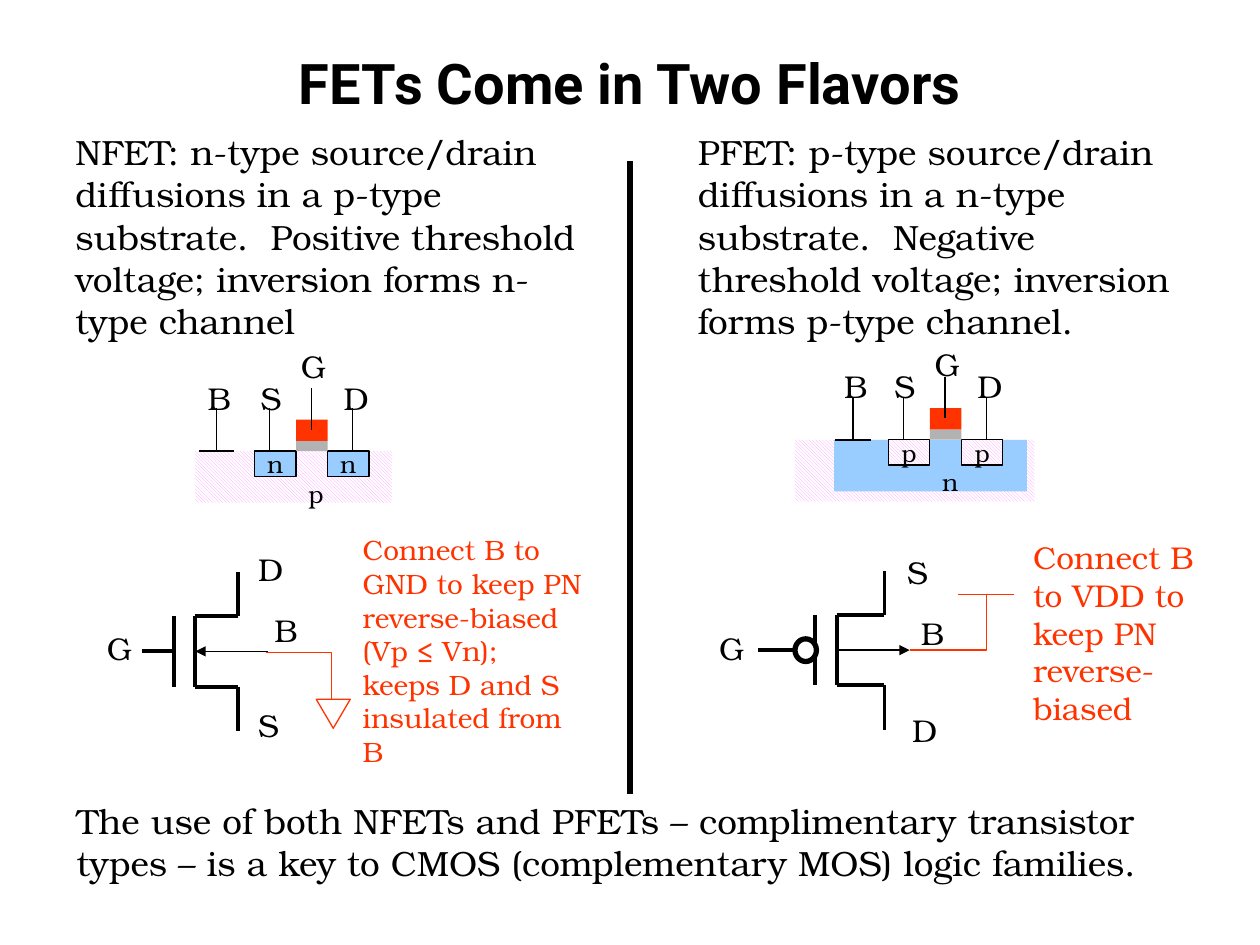
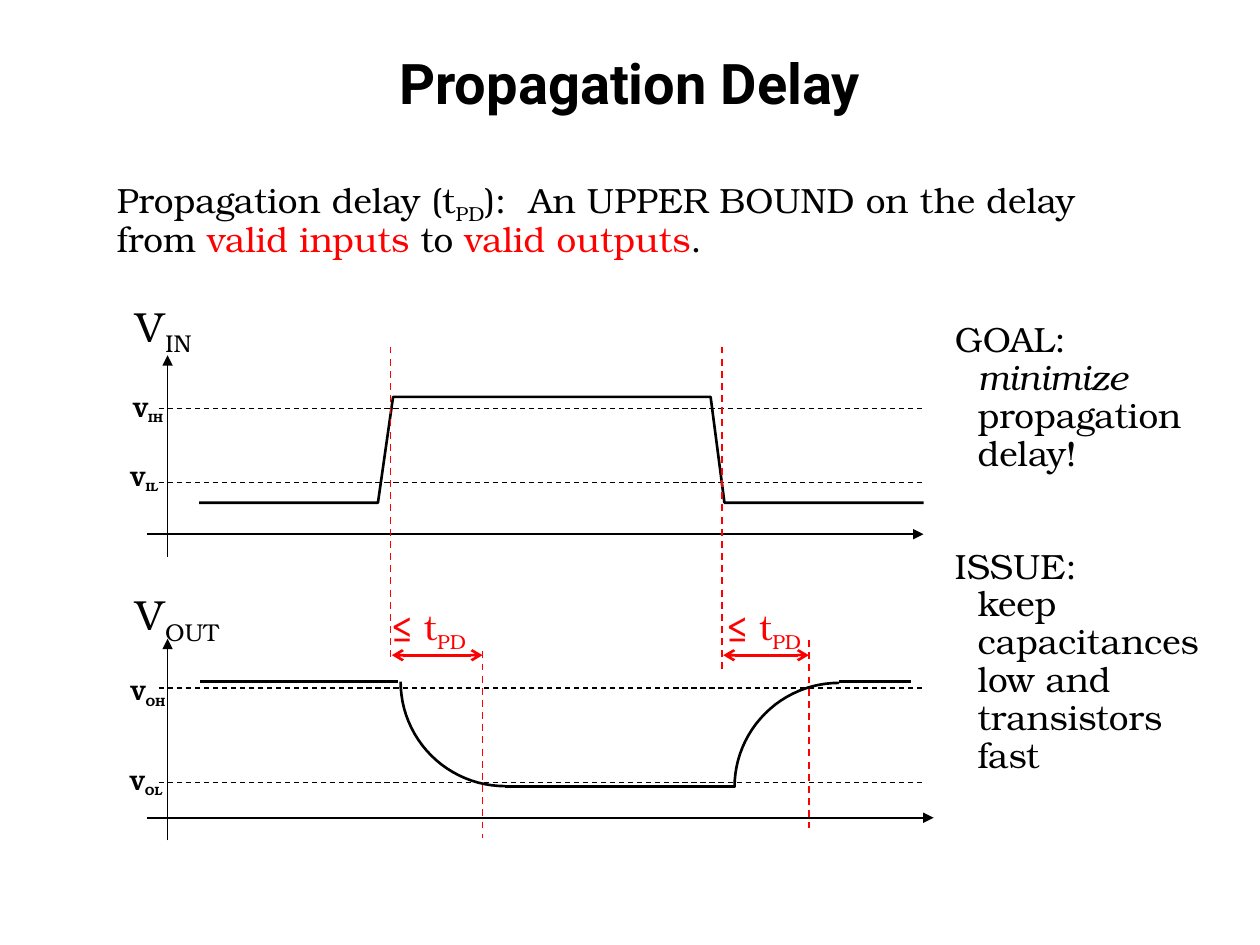
import math
from dataclasses import dataclass

import pptx
import pptx.dml.color
import pptx.enum.dml
import pptx.enum.shapes
import pptx.enum.text
import pptx.oxml.ns
import pptx.util
from lxml import etree

PX = 9144  # EMU in one px, 100 px to the inch
SHAPE = pptx.enum.shapes.MSO_SHAPE
ALIGN = pptx.enum.text.PP_ALIGN
MIDDLE = pptx.enum.text.MSO_ANCHOR.MIDDLE
qn = pptx.oxml.ns.qn
rgb = pptx.dml.color.RGBColor.from_string


@dataclass(frozen=True)
class Theme:
    title_font: str = "Roboto"
    body_font: str = "TeX Gyre Bonum"
    black: str = "000000"
    white: str = "FFFFFF"
    red: str = "FF0000"
    orange: str = "FF3300"
    blue: str = "99CCFF"
    pink: str = "FF99FF"
    gray: str = "B2B2B2"
    title: int = 32
    signal: int = 24
    body: int = 20
    terminal: int = 18
    note: int = 16
    doping: int = 14
    level: int = 12


T = Theme()
HATCH = "hatch"


def write(target, paras, at=None, size=T.body, color=T.black, font=T.body_font, bold=None,
          align=ALIGN.LEFT, anchor=None, spacing=None, wrap=True):
    """Fill a shape, or a new text box when at is given.

    A paragraph is a string or a list of runs; a run is a string or (string, format).
    """
    sp = target
    if at:
        sp = target.add_textbox(*(v * PX for v in at))
    tf = sp.text_frame
    tf.word_wrap = wrap
    if at:
        tf.auto_size = pptx.enum.text.MSO_AUTO_SIZE.SHAPE_TO_FIT_TEXT
    if anchor is not None:
        tf.vertical_anchor = anchor
    for i, runs in enumerate([paras] if isinstance(paras, str) else paras):
        p = tf.add_paragraph() if i else tf.paragraphs[0]
        p.alignment = align
        if spacing:
            p.line_spacing = spacing
        for run in [runs] if isinstance(runs, str) else runs:
            text, fmt = (run, {}) if isinstance(run, str) else run
            r = p.add_run()
            r.text = text
            r.font.name = font
            r.font.size = pptx.util.Pt(size)
            r.font.bold = bold
            r.font.italic = fmt.get("italic")
            r.font.color.rgb = rgb(fmt.get("color", color))
            if fmt.get("sub"):
                r.font._element.set("baseline", "-25000")
    return sp


def draw(shapes, kind, at, fill=None, line=T.black, width=0.75, dash=False, head=None, tail=None):
    """Draw a "line" (x1, y1, x2, y2), a "path" (points) or a preset shape (box)."""
    if kind == "line":
        sp = shapes.add_connector(pptx.enum.shapes.MSO_CONNECTOR.STRAIGHT, *(v * PX for v in at))
    elif kind == "path":
        points = [(x * PX, y * PX) for x, y in at]
        builder = shapes.build_freeform(*points[0])
        builder.add_line_segments(points[1:], close=False)
        sp = builder.convert_to_shape()
    else:
        sp = shapes.add_shape(kind, *(v * PX for v in at))
    if line:
        sp.line.color.rgb = rgb(line)
        sp.line.width = pptx.util.Pt(width)
        if dash:
            sp.line.dash_style = pptx.enum.dml.MSO_LINE.DASH
        ln = sp.element.spPr.find(qn("a:ln"))
        for end, arrow in (("a:headEnd", head), ("a:tailEnd", tail)):
            if arrow:
                etree.SubElement(ln, qn(end), type=arrow)
    else:
        sp.line.fill.background()
    if kind == "line":
        etree.SubElement(sp.element.spPr, qn("a:effectLst"))
        return sp
    sp.shadow.inherit = False
    if fill == HATCH:
        sp.fill.patterned()
        sp.fill.pattern = pptx.enum.dml.MSO_PATTERN.DARK_DOWNWARD_DIAGONAL
        sp.fill.fore_color.rgb = rgb(T.pink)
        sp.fill.back_color.rgb = rgb(T.white)
    elif fill:
        sp.fill.solid()
        sp.fill.fore_color.rgb = rgb(fill)
    else:
        sp.fill.background()
    return sp


prs = pptx.Presentation()
prs.slide_width = 1000 * PX
prs.slide_height = 750 * PX

slides = []
for title in ("FETs Come in Two Flavors", "Propagation Delay"):
    s = prs.slides.add_slide(prs.slide_layouts[5])
    sp = s.shapes.title
    sp.left, sp.top, sp.width, sp.height = (v * PX for v in (50, 30, 900, 70))
    write(sp, title, size=T.title, font=T.title_font, bold=True, align=ALIGN.CENTER, anchor=MIDDLE)
    slides.append(s)
fets, delay = (s.shapes for s in slides)
TERMINAL = dict(size=T.terminal, spacing=0.9, wrap=False)

# Slide 1: descriptions and divider
for text, at in (
    ("NFET: n-type source/drain diffusions in a p-type substrate.  Positive threshold voltage; "
     "inversion forms n-type channel", (50, 99, 425, 178)),
    ("PFET: p-type source/drain diffusions in a n-type substrate.  Negative threshold voltage; "
     "inversion forms p-type channel.", (544, 99, 424, 178)),
    ("The use of both NFETs and PFETs – complimentary transistor types – is a key to CMOS "
     "(complementary MOS) logic families.", (51, 630, 917, 77)),
):
    write(fets, text, at)
draw(fets, "line", (500, 128, 500, 630), width=3)

# Slide 1: cross sections, laid out from the gate's left edge and the silicon surface
for gate, surface, bulk, gate_label, layers, diffusion, doping, body in (
    (235, 358, 172, 274, [((155, 358, 156, 41), HATCH)], T.blue, "n", "p"),
    (738, 349, 677, 272, [((631, 349, 190, 49), HATCH), ((662, 349, 153, 41), T.blue)],
     HATCH, "p", "n"),
):
    g = fets.add_group_shape().shapes
    for at, fill in layers:
        draw(g, SHAPE.RECTANGLE, at, fill=fill, line=None)
    for x in (gate - 33, gate + 25):
        sp = draw(g, SHAPE.RECTANGLE, (x, surface, 33, 20), fill=diffusion)
        write(sp, doping, size=T.doping, align=ALIGN.CENTER, anchor=MIDDLE, wrap=False)
    write(g, body, (gate, surface + 17, 33, 34), size=T.doping, wrap=False)
    draw(g, SHAPE.RECTANGLE, (gate, surface - 25, 25, 17), fill=T.orange, line=None)
    draw(g, SHAPE.RECTANGLE, (gate, surface - 8, 25, 8), fill=T.gray, line=None)
    draw(g, "line", (gate + 12, surface - 17, gate + 12, surface - 50))
    draw(g, "line", (bulk - 14, surface, bulk + 14, surface), width=1)
    for name, x, width in (("B", bulk, 39), ("S", gate - 21, 37), ("D", gate + 45, 40)):
        draw(g, "line", (x, surface, x, surface - 34))
        write(g, name, (x - 17, surface - 59, width, 38), **TERMINAL)
    write(g, "G", (gate - 6, gate_label, 40, 38), **TERMINAL)

# Slide 1: circuit symbols, laid out from the middle of the channel bar
for x, y, lead, gate_end, arrow, labels, wire in (
    (155, 517, 189, 113, (213, 155),
     (("G", 75, 498), ("S", 195, 559), ("D", 195, 435), ("B", 208, 483)),
     [(211, 518), (263, 518), (263, 555)]),
    (664, 516, 702, 602, (664, 722),
     (("G", 561, 498), ("S", 710, 437), ("D", 714, 563), ("B", 721, 486)),
     [(722, 516), (783, 516), (783, 472)]),
):
    g = fets.add_group_shape().shapes
    for side in (-1, 1):
        bend, end = y + 28 * side, y + 63 * side
        draw(g, "line", (x, bend, lead, bend), width=2.25)
        draw(g, "line", (lead, bend, lead, end), width=2.25)
    for bar in (x, x - 17):
        draw(g, "line", (bar, y - 28, bar, y + 28), width=2.25)
    draw(g, "line", (x - 17, y, gate_end, y), width=2.25)
    draw(g, "line", (arrow[0], y, arrow[1], y), tail="triangle")
    draw(g, "path", wire, line=T.orange)
    for name, left, top in labels:
        write(g, name, (left, top, 39, 38), **TERMINAL)
    if x == 155:
        ground = draw(g, SHAPE.ISOSCELES_TRIANGLE, (251, 555, 27, 23), line=T.orange)
        ground.rotation = 180
    else:
        draw(g, SHAPE.OVAL, (631, 507, 17, 18), fill=T.white, width=3)
        draw(g, "line", (760, 472, 805, 472), line=T.orange)

write(fets, ["Connect B to GND to keep PN reverse-biased", "(Vp ≤ Vn); keeps D and S insulated from B"],
      (278, 418, 195, 199), size=T.note, color=T.orange)
write(fets, "Connect B to VDD to keep PN reverse-biased", (810, 422, 171, 162),
      size=T.terminal, color=T.orange)

# Slide 2: definition and remarks
SUB, RED = {"sub": True}, {"color": T.red}
write(delay, [["Propagation delay (t", ("PD", SUB), "):  An UPPER BOUND on the delay from ",
               ("valid inputs", RED), " to ", ("valid outputs", RED), "."]],
      (83, 137, 842, 71), spacing=0.9)
remarks = ["GOAL:", [("minimize", {"italic": True})], "propagation", "delay!",
           "ISSUE:", "keep", "capacitances", "low and", "transistors", "fast"]
sp = write(delay, remarks, (748, 251, 215, 374), spacing=0.9, wrap=False)
for p in sp.text_frame.paragraphs:
    if p.text == "ISSUE:":
        p.space_before = pptx.util.Pt(43)
    elif p.text != "GOAL:":
        p._p.get_or_add_pPr().set("marL", str(18 * PX))

# Slide 2: axes and voltage levels
for name, left, width, top, axis_end, label_top in (
    ("IN", 98, 68, 282, 733, 234), ("OUT", 98, 93, 507, 741, 463),
):
    draw(delay, "line", (133, top + 160, 133, top), width=1, tail="triangle")
    draw(delay, "line", (117, top + 142, axis_end, top + 142), width=1, tail="triangle")
    write(delay, [["V", (name, SUB)]], (left, label_top, width, 47), size=T.signal,
          spacing=0.9, wrap=False)
for name, y, left, top, width in (
    ("IH", 324, 94, 311, 47), ("IL", 383, 92, 366, 45),
    ("OH", 546, 92, 536, 51), ("OL", 621, 91, 607, 50),
):
    draw(delay, "line", (126, y, 733, y), dash=True)
    write(delay, [["V", (name, SUB)]], (left, top, width, 30), size=T.level, bold=True,
          align=ALIGN.CENTER, anchor=MIDDLE, wrap=False)

# Slide 2: waveforms
draw(delay, "path", [(158, 399), (300, 399), (312, 315), (564, 315), (575, 399), (733, 399)],
     width=1.5)
for ends in ((159, 541, 316, 541), (401, 624, 583, 624), (666, 541, 723, 541)):
    draw(delay, "line", ends, width=1.5)
RADIUS, STEPS = 83, 24
for cx, cy, start in ((401, 541, 90), (666, 625, 180)):
    angles = [math.radians(start + 90 * i / STEPS) for i in range(STEPS + 1)]
    draw(delay, "path", [(cx + RADIUS * math.cos(a), cy + RADIUS * math.sin(a)) for a in angles],
         width=1.5)

# Slide 2: delay marks
for x, y1, y2 in ((310, 275, 525), (573, 275, 533), (383, 517, 665), (642, 508, 657)):
    draw(delay, "line", (x, y1, x, y2), line=T.red, width=1, dash=True)
g = delay.add_group_shape().shapes
for x1, x2, left in ((311, 383, 301), (574, 642, 567)):
    draw(delay, "line", (x1, 520, x2, 520), line=T.red, width=1.5, head="arrow", tail="arrow")
    write(g, [["≤ t", ("PD", SUB)]], (left, 476, 83, 41), color=T.red, spacing=0.9, wrap=False)

prs.save("out.pptx")
